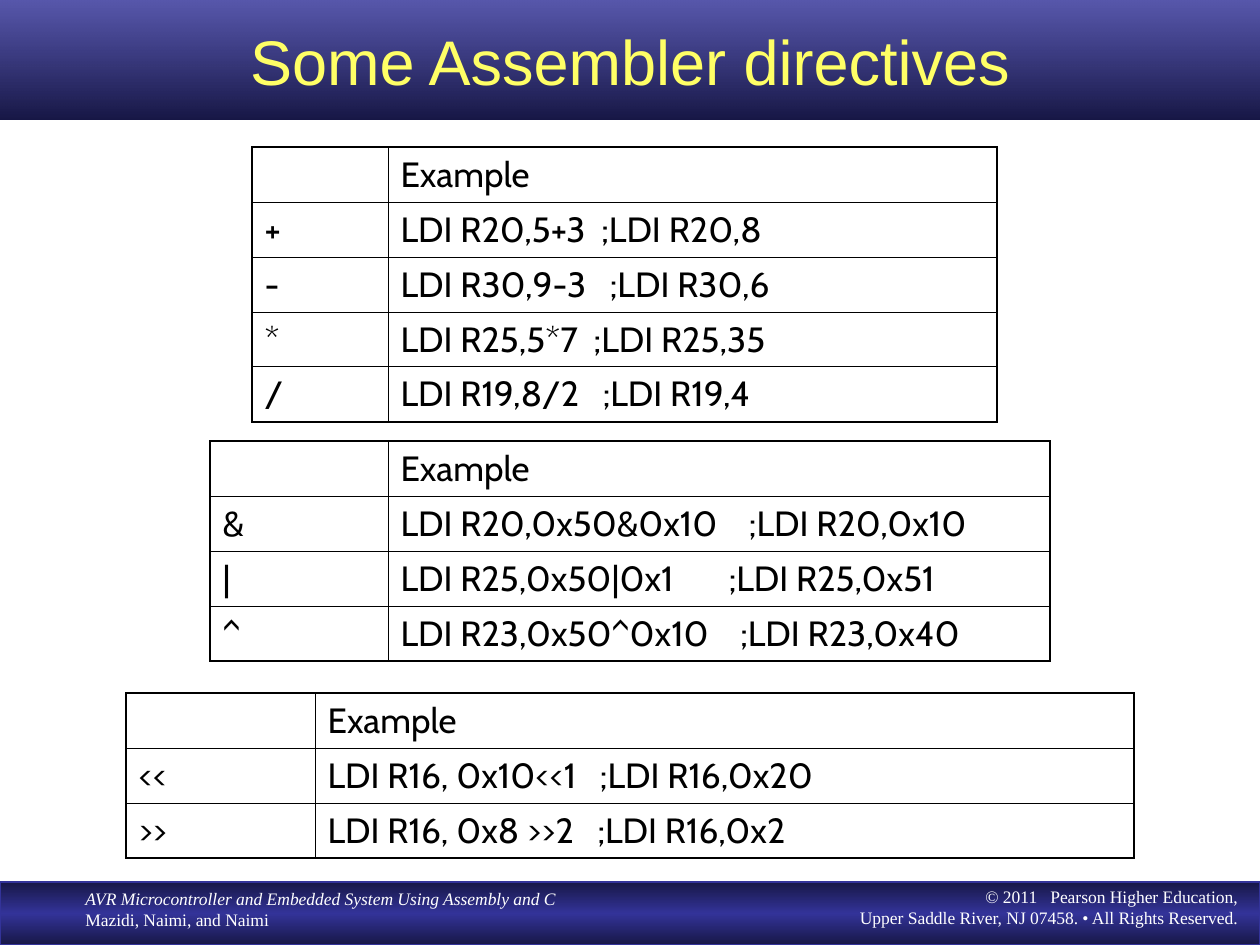
from lxml.etree import SubElement
from pptx import Presentation
from pptx.dml.color import RGBColor
from pptx.enum.shapes import MSO_SHAPE
from pptx.enum.text import MSO_ANCHOR, MSO_AUTO_SIZE, PP_ALIGN
from pptx.oxml import parse_xml
from pptx.oxml.ns import nsdecls, qn
from pptx.util import Emu, Pt

INK = {"navy": "171746", "blue": "333399", "gold": "FFFF66",
       "white": "FFFFFF", "black": "000000"}
THICK, THIN = 1.08, 0.45
ROW = 55


def px(*nums):
    """Turn px lengths into EMU."""
    return [Emu(round(n * 914400 / 126)) for n in nums]


def style(par, size, face, color):
    """Format every run of a paragraph."""
    for run in par.runs:
        run.font.size = Pt(size)
        run.font.name = face
        run.font.color.rgb = RGBColor.from_string(INK[color])


def shade(shape, stops):
    """Fill a shape with a downward gradient of (place, colour, opacity) stops."""
    shape.fill.gradient()
    shape.fill.gradient_angle = 270
    chain = shape.fill._fill._gradFill.find(qn("a:gsLst"))
    chain.clear()
    for place, color, alpha in stops:
        stop = SubElement(chain, qn("a:gs"), pos=str(place * 1000))
        tint = SubElement(stop, qn("a:srgbClr"), val=INK[color])
        SubElement(tint, qn("a:alpha"), val=str(alpha * 1000))


def header(slide, box, text):
    """Place the title band."""
    title = slide.shapes.title
    title.left, title.top, title.width, title.height = px(*box)
    shade(title, [(0, "blue", 82), (100, "navy", 100)])
    frame = title.text_frame
    frame.text = text
    frame.auto_size = MSO_AUTO_SIZE.NONE
    frame.vertical_anchor = MSO_ANCHOR.MIDDLE
    frame.paragraphs[0].alignment = PP_ALIGN.CENTER
    style(frame.paragraphs[0], 36, "Arial", "gold")


def note(slide, box, text, align):
    """Place one footer text and return its paragraphs."""
    frame = slide.shapes.add_textbox(*px(*box)).text_frame
    frame.word_wrap = True
    frame.text = text
    for par in frame.paragraphs:
        par.alignment = align
        style(par, 10, "Times New Roman", "white")
    return frame.paragraphs


def footer(slide, box):
    """Place the footer band with the book and copyright lines."""
    left, top, width, height = box
    band = slide.shapes.add_shape(MSO_SHAPE.RECTANGLE, *px(*box))
    band.shadow.inherit = False
    shade(band, [(0, "navy", 100), (50, "blue", 100), (100, "navy", 100)])
    band.line.color.rgb = RGBColor.from_string(INK["blue"])
    band.line.width = Pt(0.75)
    book = note(slide, (left + 73, top, 522, 55),
                "AVR Microcontroller and Embedded System Using Assembly and C\n"
                "Mazidi, Naimi, and Naimi", PP_ALIGN.LEFT)
    book[0].runs[0].font.italic = True
    note(slide, (left + width - 535, top - 2, 525, 55),
         "© 2011   Pearson Higher Education,\v"
         "Upper Saddle River, NJ 07458. • All Rights Reserved.", PP_ALIGN.RIGHT)


def border(cell, sides):
    """Draw the cell edges given as a dict of side to width."""
    props = cell._tc.get_or_add_tcPr()
    for spot, (side, width) in enumerate(sides.items()):
        props.insert(spot, parse_xml(
            f'<a:ln{side} {nsdecls("a")} w="{Pt(width)}"><a:solidFill>'
            f'<a:srgbClr val="{INK["black"]}"/></a:solidFill></a:ln{side}>'))


def grid(slide, left, top, widths, pairs):
    """Place a table of operators and their examples."""
    rows = [("", "Example"), *pairs]
    table = slide.shapes.add_table(
        len(rows), 2, *px(left, top, sum(widths), ROW * len(rows))).table
    table.first_row = table.horz_banding = False
    for col, width in zip(table.columns, px(*widths)):
        col.width = width
    for r, texts in enumerate(rows):
        table.rows[r].height = px(ROW)[0]
        for c, text in enumerate(texts):
            cell = table.cell(r, c)
            cell.text = text
            cell.fill.background()
            style(cell.text_frame.paragraphs[0], 20, "Cabin", "black")
            border(cell, {"L": THIN if c else THICK,
                          "R": THICK if c else THIN,
                          "T": THIN if r else THICK,
                          "B": THICK if r == len(rows) - 1 else THIN})


def main():
    """Build and save the slide."""
    deck = Presentation()
    deck.slide_width, deck.slide_height = px(1260, 945)
    slide = deck.slides.add_slide(deck.slide_layouts[5])
    footer(slide, (0, 882, 1260, 63))
    header(slide, (0, 0, 1260, 120), "Some Assembler directives")
    grid(slide, 252, 147, (136, 609), [
        ("+", "LDI R20,5+3  ;LDI R20,8"),
        ("-", "LDI R30,9-3   ;LDI R30,6"),
        ("*", "LDI R25,5*7  ;LDI R25,35"),
        ("/", "LDI R19,8/2   ;LDI R19,4")])
    grid(slide, 126, 693, (189, 819), [
        ("<<", "LDI R16, 0x10<<1   ;LDI R16,0x20"),
        (">>", "LDI R16, 0x8 >>2   ;LDI R16,0x2")])
    grid(slide, 210, 441, (178, 662), [
        ("&", "LDI R20,0x50&0x10    ;LDI R20,0x10"),
        ("|", "LDI R25,0x50|0x1       ;LDI R25,0x51"),
        ("^", "LDI R23,0x50^0x10    ;LDI R23,0x40")])
    deck.save("out.pptx")


if __name__ == "__main__":
    main()
